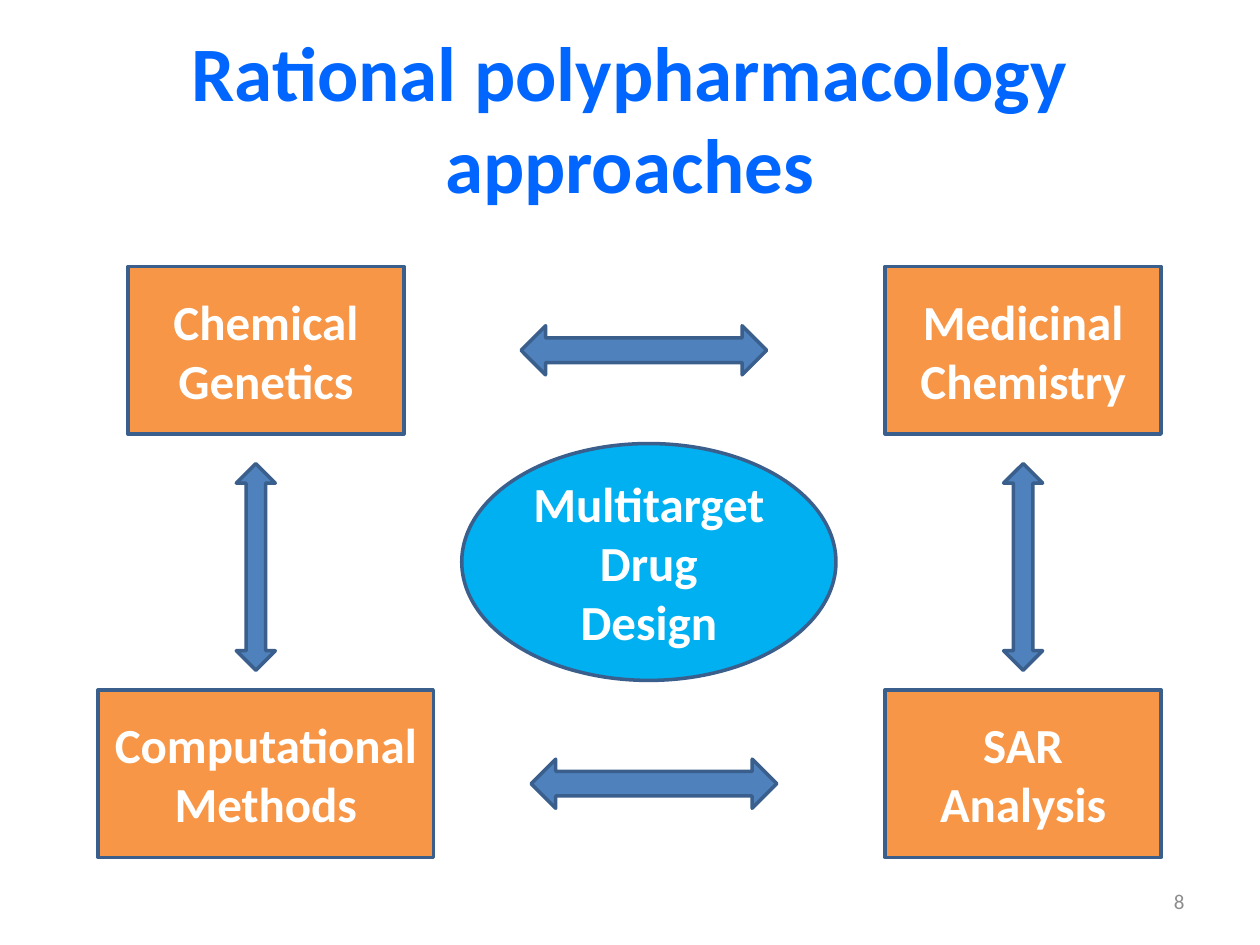
from dataclasses import dataclass

import pptx
import pptx.dml.color
import pptx.enum.shapes
import pptx.enum.text
import pptx.util

RGB = pptx.dml.color.RGBColor
SHAPE = pptx.enum.shapes.MSO_SHAPE
ALIGN = pptx.enum.text.PP_ALIGN
ANCHOR = pptx.enum.text.MSO_ANCHOR
Inches = pptx.util.Inches

TITLE_BLUE = RGB(0x00, 0x66, 0xFF)
ORANGE = RGB(0xF7, 0x96, 0x46)
SKY = RGB(0x00, 0xB0, 0xF0)
STEEL = RGB(0x4F, 0x81, 0xBD)
OUTLINE = RGB(0x3A, 0x5F, 0x8C)
WHITE = RGB(0xFF, 0xFF, 0xFF)
GREY = RGB(0x8C, 0x8C, 0x8C)

# Grid of centre lines, in inches
LEFT, MIDDLE, RIGHT = 2.11, 5.15, 8.12
TOP, CENTRE, BOTTOM = 2.78, 4.48, 6.14
BOX_W, BOX_H = 2.19, 1.33


@dataclass
class Node:
    text: str
    x: float
    y: float
    w: float = BOX_W
    h: float = BOX_H
    kind: int = SHAPE.RECTANGLE
    fill: RGB = ORANGE


@dataclass
class Arrow:
    x: float
    y: float
    w: float
    h: float
    rotation: float = 0


NODES = [
    Node("Multitarget Drug Design", MIDDLE, CENTRE - 0.02, 2.97, 1.88, SHAPE.OVAL, SKY),
    Node("Chemical Genetics", LEFT, TOP),
    Node("SAR Analysis", RIGHT, BOTTOM),
    Node("Computational Methods", LEFT, BOTTOM, w=2.66),
    Node("Medicinal Chemistry", RIGHT, TOP),
]
ARROWS = [
    Arrow(MIDDLE - 0.04, TOP, 1.95, 0.39),
    Arrow(RIGHT, CENTRE + 0.02, 1.64, 0.31, 90),
    Arrow(MIDDLE + 0.04, BOTTOM + 0.08, 1.95, 0.39),
    Arrow(LEFT - 0.08, CENTRE + 0.02, 1.64, 0.31, 90),
]


def write(sp, text: str, *, size: float, color: RGB, bold: bool = False,
          align=ALIGN.CENTER) -> None:
    tf = sp.text_frame
    tf.word_wrap = True
    tf.vertical_anchor = ANCHOR.MIDDLE
    p = tf.paragraphs[0]
    p.alignment = align
    r = p.add_run()
    r.text = text
    r.font.name = "Calibri"
    r.font.size = pptx.util.Pt(size)
    r.font.bold = bold
    r.font.color.rgb = color


def add_centred(s, kind: int, x: float, y: float, w: float, h: float, fill: RGB):
    """Add an outlined shape whose centre is at x, y."""
    sp = s.shapes.add_shape(kind, Inches(x - w / 2), Inches(y - h / 2),
                            Inches(w), Inches(h))
    sp.shadow.inherit = False
    sp.fill.solid()
    sp.fill.fore_color.rgb = fill
    sp.line.color.rgb = OUTLINE
    sp.line.width = pptx.util.Pt(2)
    return sp


def add_node(s, n: Node) -> None:
    sp = add_centred(s, n.kind, n.x, n.y, n.w, n.h, n.fill)
    write(sp, n.text, size=28, color=WHITE, bold=True)


def add_arrow(s, a: Arrow) -> None:
    sp = add_centred(s, SHAPE.LEFT_RIGHT_ARROW, a.x, a.y, a.w, a.h, STEEL)
    sp.rotation = a.rotation


def main() -> None:
    prs = pptx.Presentation()
    prs.slide_width, prs.slide_height = Inches(10), Inches(7.5)
    s = prs.slides.add_slide(prs.slide_layouts[5])

    # Title
    title = s.shapes.title
    title.left, title.top = Inches(0.5), Inches(0.3)
    title.width, title.height = Inches(9), Inches(1.25)
    write(title, "Rational polypharmacology approaches",
          size=44, color=TITLE_BLUE, bold=True)

    # Slide number
    number = s.shapes.add_textbox(Inches(7.17), Inches(6.95), Inches(2.33), Inches(0.4))
    write(number, "8", size=12, color=GREY, align=ALIGN.RIGHT)

    # Approaches around the central goal, and the arrows between them
    for n in NODES:
        add_node(s, n)
    for a in ARROWS:
        add_arrow(s, a)

    prs.save("out.pptx")


if __name__ == "__main__":
    main()
